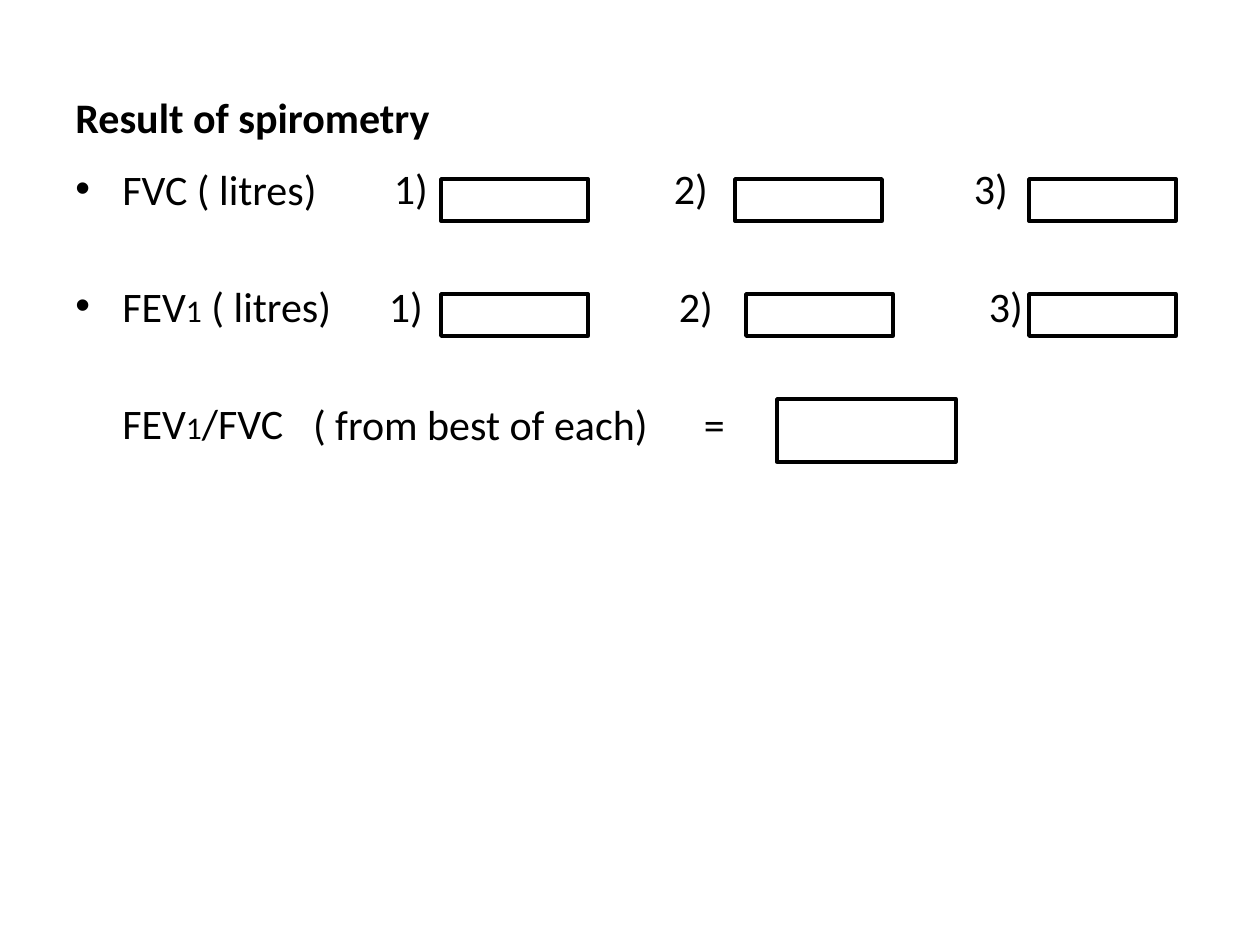
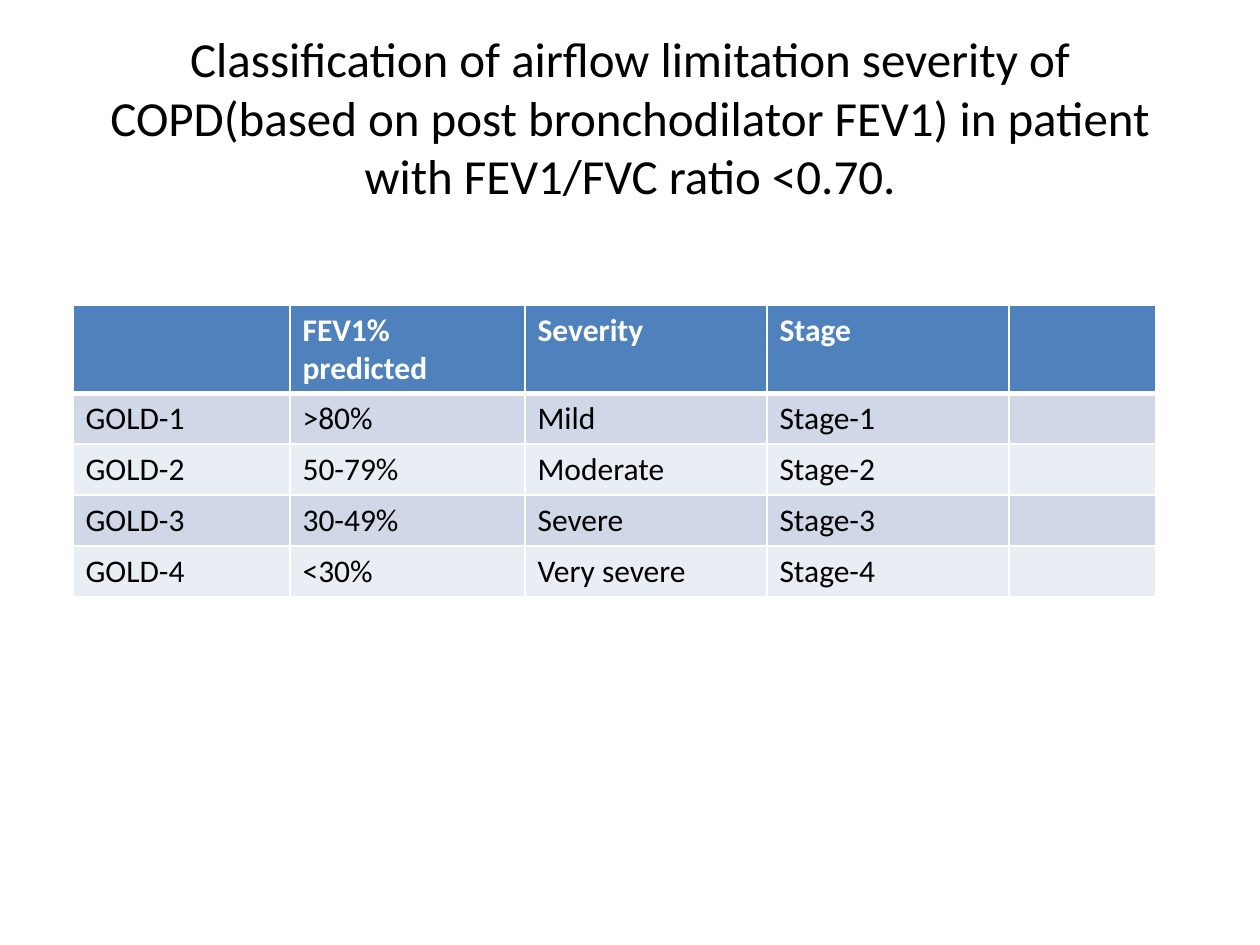
from pptx import Presentation
from pptx.dml.color import RGBColor
from pptx.enum.shapes import MSO_SHAPE as Shape
from pptx.enum.text import MSO_ANCHOR as Anchor, PP_ALIGN as Align
from pptx.oxml.ns import qn
from pptx.util import Inches, Pt
from lxml.etree import SubElement

SCALE = Inches(1) / 126
COLORS = {"ink": "000000", "paper": "FFFFFF", "header": "4F81BD",
          "odd": "D0D8E8", "even": "E9EDF4"}


def px(length):
    return round(length * SCALE)


def color(name):
    return RGBColor.from_string(COLORS[name])


def write(para, text, size=24, bold=False, ink="ink"):
    span = para.add_run()
    span.text = text
    span.font.name = "Calibri"
    span.font.size = Pt(size)
    span.font.bold = bold
    span.font.color.rgb = color(ink)


class Board:
    """Holds the deck style and the slide being drawn."""

    def __init__(self, deck):
        self.deck = deck
        self.page = None

    def new_page(self):
        self.page = self.deck.slides.add_slide(self.deck.slide_layouts[6])

    def frame(self, left, top, width, height, inset=True):
        box = self.page.shapes.add_textbox(px(left), px(top), px(width), px(height))
        frame = box.text_frame
        frame.word_wrap = True
        if not inset:
            frame.margin_left = frame.margin_right = 0
            frame.margin_top = frame.margin_bottom = 0
        return frame

    def title(self, text, size, bold=False, align=Align.LEFT):
        frame = self.frame(63, 38, 1134, 157)
        frame.vertical_anchor = Anchor.MIDDLE
        para = frame.paragraphs[0]
        para.alignment = align
        write(para, text, size, bold)

    def body(self, lines):
        frame = self.frame(63, 157, 1134, 645)
        for index, (bulleted, spans) in enumerate(lines):
            para = frame.add_paragraph() if index else frame.paragraphs[0]
            para.space_before = Pt(38 if index else 0)
            props = para._p.get_or_add_pPr()
            props.set("marL", str(px(47)))
            props.set("indent", str(px(-47) if bulleted else 0))
            if bulleted:
                SubElement(props, qn("a:buFont"), typeface="Arial")
                SubElement(props, qn("a:buChar"), char="•")
            for text, size in spans:
                write(para, text, size)

    def label(self, text, left, top, width=40):
        write(self.frame(left, top, width, 51, inset=False).paragraphs[0], text)

    def entry_box(self, left, top, width=147, height=42):
        box = self.page.shapes.add_shape(
            Shape.RECTANGLE, px(left), px(top), px(width), px(height))
        box.shadow.inherit = False
        box.fill.solid()
        box.fill.fore_color.rgb = color("paper")
        box.line.color.rgb = color("ink")
        box.line.width = Pt(2)

    def cell(self, cell, text, fill, ink, bold, bottom):
        cell.fill.solid()
        cell.fill.fore_color.rgb = color(fill)
        if text:
            write(cell.text_frame.paragraphs[0], text, 18, bold, ink)
        props = cell._tc.get_or_add_tcPr()
        for index, (side, width) in enumerate(zip("LRTB", (1, 1, 1, bottom))):
            line = SubElement(props, qn("a:ln" + side), w=str(Pt(width)))
            paint = SubElement(line, qn("a:solidFill"))
            SubElement(paint, qn("a:srgbClr"), val=COLORS["paper"])
            props.insert(index, line)

    def table(self, rows, left, top, widths, heights):
        table = self.page.shapes.add_table(
            len(rows), len(widths), px(left), px(top),
            px(sum(widths)), px(sum(heights))).table
        for column, width in zip(table.columns, widths):
            column.width = px(width)
        for number, (values, height) in enumerate(zip(rows, heights)):
            table.rows[number].height = px(height)
            if number == 0:
                style = ("header", "paper", True, 3)
            else:
                style = ("odd" if number % 2 else "even", "ink", False, 1)
            for column, text in enumerate(values):
                top_edge = table.cell(number, column)
                self.cell(top_edge, text, *style)
                if number == 1:
                    line = top_edge._tc.tcPr.find(qn("a:lnT"))
                    line.set("w", str(Pt(3)))


def spirometry(board):
    board.new_page()
    board.title("Result of spirometry", 24, bold=True)
    board.body([
        (True, [("FVC ( litres)", 24)]),
        (True, [("FEV", 24), ("1", 18), (" ( litres)", 24)]),
        (False, [("FEV", 24), ("1", 18), ("/FVC", 24)]),
    ])
    trials = [
        (163, (394, 674, 974), 179, (441, 735, 1029)),
        (281, (389, 679, 989), 294, (441, 746, 1029)),
    ]
    for label_top, label_lefts, box_top, box_lefts in trials:
        for number, (label_left, box_left) in enumerate(zip(label_lefts, box_lefts), 1):
            board.label(f"{number})", label_left, label_top)
            board.entry_box(box_left, box_top)
    board.label("( from best of each)", 313, 399, 360)
    board.label("=", 704, 399)
    board.entry_box(777, 399, 179, 63)


def classification(board):
    board.new_page()
    board.title("Classification of airflow limitation severity of COPD(based on post "
                "bronchodilator FEV1) in patient with FEV1/FVC ratio <0.70.",
                28, align=Align.CENTER)
    grades = [(">80%", "Mild"), ("50-79%", "Moderate"),
              ("30-49%", "Severe"), ("<30%", "Very severe")]
    rows = [("", "FEV1% predicted", "Severity", "Stage", "")]
    rows += [(f"GOLD-{number}", predicted, severity, f"Stage-{number}", "")
             for number, (predicted, severity) in enumerate(grades, 1)]
    board.table(rows, 73, 305, (217, 235, 242, 242, 147), (88, 51, 51, 51, 51))


deck = Presentation()
deck.slide_width, deck.slide_height = px(1260), px(945)
board = Board(deck)
spirometry(board)
classification(board)
deck.save("out.pptx")
